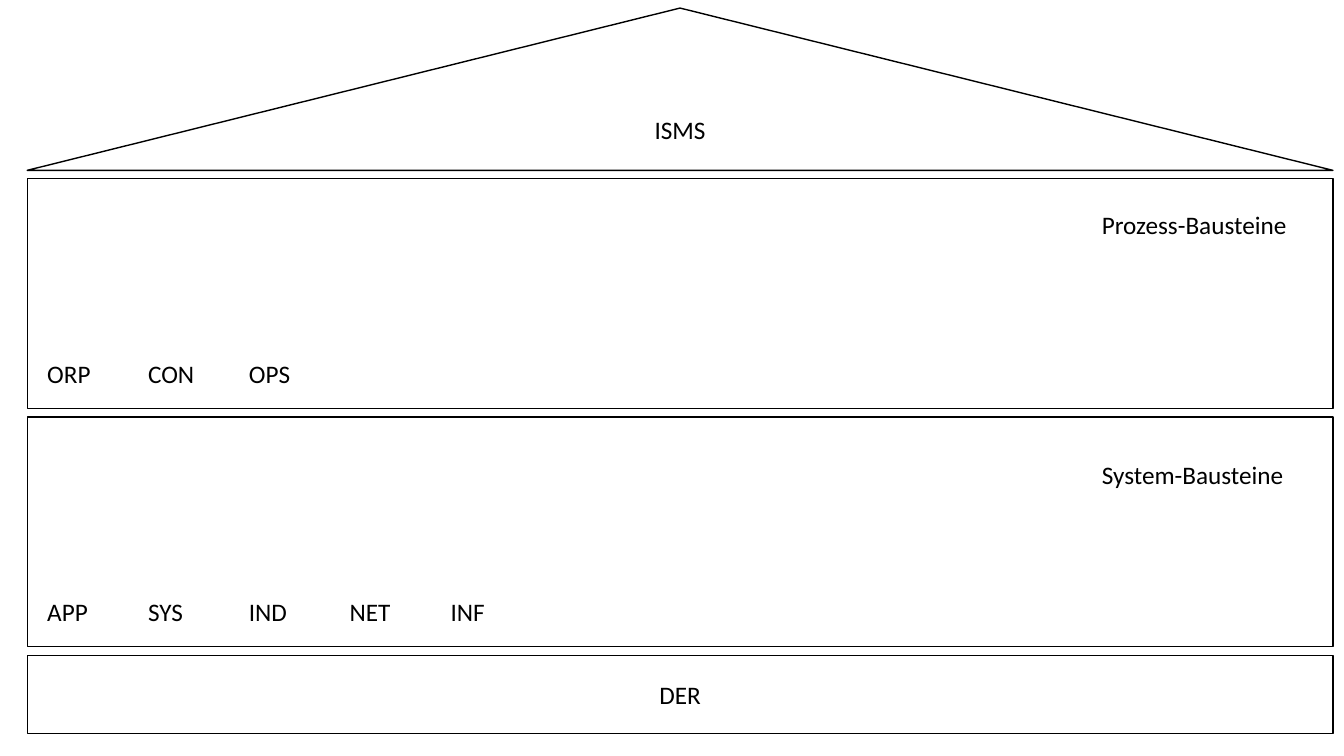
from pptx import Presentation
from pptx.dml.color import RGBColor
from pptx.enum.shapes import MSO_SHAPE
from pptx.enum.text import MSO_ANCHOR, PP_ALIGN
from pptx.util import Inches, Pt

RECTANGLE = MSO_SHAPE.RECTANGLE
TRIANGLE = MSO_SHAPE.ISOSCELES_TRIANGLE
MIDDLE = MSO_ANCHOR.MIDDLE
CENTER = PP_ALIGN.CENTER
LEFT = PP_ALIGN.LEFT
BLACK = RGBColor(0, 0, 0)
WHITE = RGBColor(255, 255, 255)

LAYERS = [
    {"form": TRIANGLE, "height": 1.61, "name": "ISMS"},
    {"form": RECTANGLE, "height": 2.28, "label": "Prozess-Bausteine",
     "label_drop": 0.25, "codes": ["ORP", "CON", "OPS"]},
    {"form": RECTANGLE, "height": 2.28, "label": "System-Bausteine",
     "label_drop": 0.37, "codes": ["APP", "SYS", "IND", "NET", "INF"]},
    {"form": RECTANGLE, "height": 0.78, "name": "DER"},
]
HOUSE_LEFT, HOUSE_TOP, HOUSE_WIDTH, HOUSE_BOTTOM = 0.27, 0.08, 12.95, 7.28
LABEL_LEFT, LABEL_WIDTH = 10.83, 2.39
CODES_LEFT, CODES_WIDTH, CODES_DROP = 0.37, 5.29, 1.73
TEXT_HEIGHT = 0.4
TAB_WIDTH = Inches(1)


def write(shape, text, align):
    shape.text_frame.text = text
    para = shape.text_frame.paragraphs[0]
    para.alignment = align
    for span in para.runs:
        span.font.name = "Calibri"
        span.font.size = Pt(18)
        span.font.color.rgb = BLACK


def add_text(page, left, top, width, text):
    box = page.shapes.add_textbox(
        Inches(left), Inches(top), Inches(width), Inches(TEXT_HEIGHT))
    box.text_frame.word_wrap = True
    write(box, text, LEFT)
    return box


def add_codes(page, top, codes):
    box = add_text(page, CODES_LEFT, top, CODES_WIDTH, "\t".join(codes))
    para = box.text_frame.paragraphs[0]
    para._p.get_or_add_pPr().set("defTabSz", str(TAB_WIDTH))


def add_layer(page, layer, top):
    shape = page.shapes.add_shape(
        layer["form"], Inches(HOUSE_LEFT), Inches(top),
        Inches(HOUSE_WIDTH), Inches(layer["height"]))
    shape.shadow.inherit = False
    shape.fill.solid()
    shape.fill.fore_color.rgb = WHITE
    shape.line.color.rgb = BLACK
    shape.line.width = Pt(1)
    if "name" in layer:
        shape.text_frame.vertical_anchor = MIDDLE
        write(shape, layer["name"], CENTER)
    else:
        add_text(page, LABEL_LEFT, top + layer["label_drop"], LABEL_WIDTH, layer["label"])
        add_codes(page, top + CODES_DROP, layer["codes"])


deck = Presentation()
deck.slide_width = Inches(13.33)
deck.slide_height = Inches(7.5)
page = deck.slides.add_slide(deck.slide_layouts[6])

filled = sum(layer["height"] for layer in LAYERS)
gap = (HOUSE_BOTTOM - HOUSE_TOP - filled) / (len(LAYERS) - 1)
top = HOUSE_TOP
for layer in LAYERS:
    add_layer(page, layer, top)
    top += layer["height"] + gap

deck.save("out.pptx")
